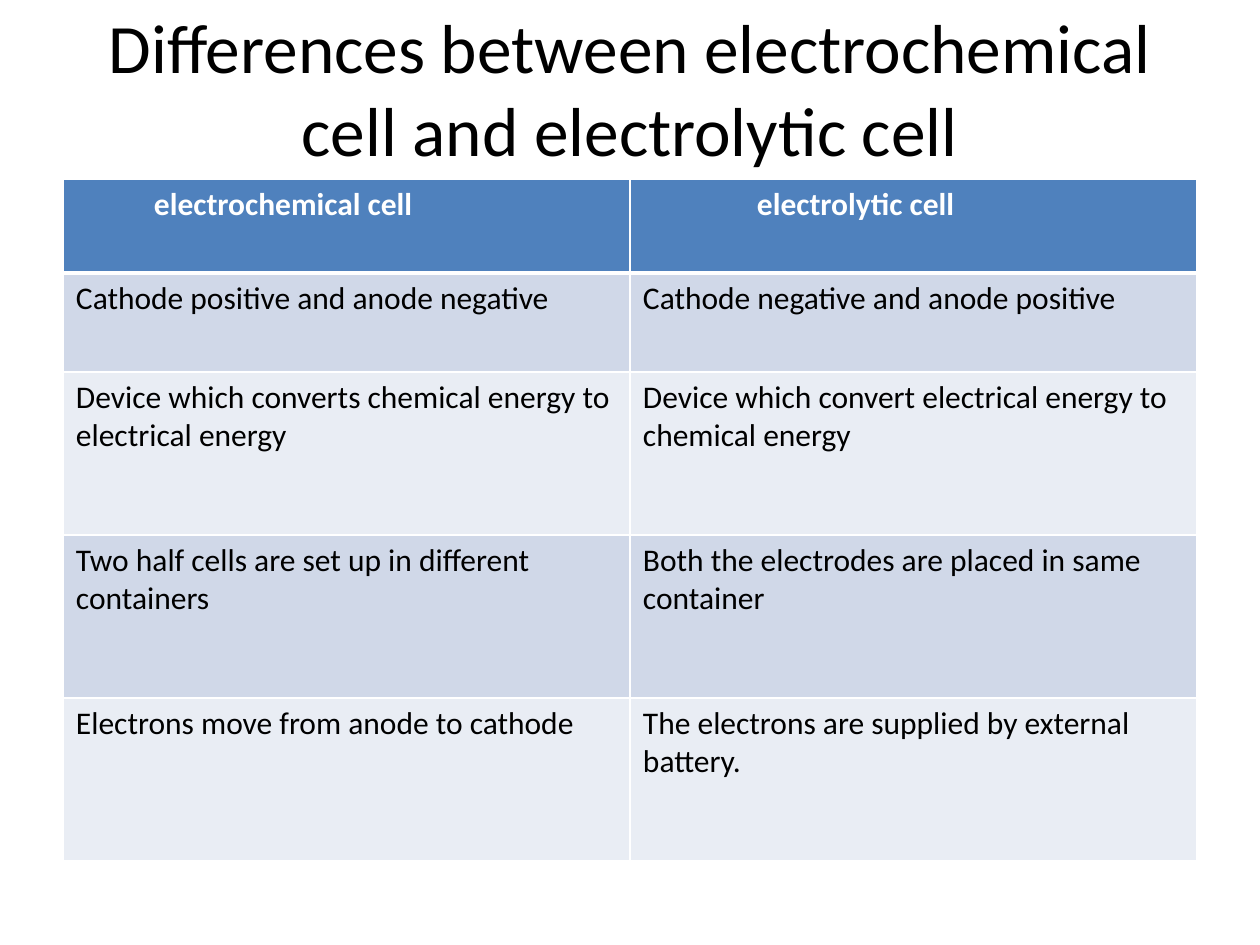
from dataclasses import dataclass

from lxml.etree import SubElement
from pptx import Presentation
from pptx.dml.color import RGBColor
from pptx.enum.text import MSO_AUTO_SIZE as AutoSize
from pptx.enum.text import MSO_VERTICAL_ANCHOR as Anchor
from pptx.enum.text import PP_PARAGRAPH_ALIGNMENT as Align
from pptx.oxml.ns import qn
from pptx.util import Pt

PX_PER_INCH = 126
FONT = "Calibri"
COLORS = {
    "text": "000000",
    "header": "4F81BD",
    "header_text": "FFFFFF",
    "band_dark": "D0D8E8",
    "band_light": "E9EDF4",
    "border": "FFFFFF",
}
CELL_MARGIN = 13
COLUMN_WIDTH = 567
HEADER_INDENTS = (78, 114)


@dataclass
class Row:
    height: int
    texts: tuple[str, str]


ROWS = [
    Row(94, ("electrochemical cell", "electrolytic cell")),
    Row(99, ("Cathode positive and anode negative",
             "Cathode negative and anode positive")),
    Row(163, ("Device which converts chemical energy to electrical energy",
              "Device which convert electrical energy to chemical energy")),
    Row(163, ("Two half cells are set up in different containers",
              "Both the electrodes are placed in same container")),
    Row(163, ("Electrons move from anode to cathode",
              "The electrons are supplied by external battery.")),
]


def px(length: int) -> int:
    return round(length * 914400 / PX_PER_INCH)


def write_text(frame, text: str, *, size: float, color: str = "text",
               bold: bool = False, align=Align.LEFT) -> None:
    paragraph = frame.paragraphs[0]
    paragraph.alignment = align
    run = paragraph.add_run()
    run.text = text
    run.font.name = FONT
    run.font.size = Pt(size)
    run.font.bold = bold
    run.font.color.rgb = RGBColor.from_string(COLORS[color])


def set_borders(cell, bottom: int = 1, top: int = 1) -> None:
    """Add the four cell borders, with widths in points."""
    properties = cell._tc.get_or_add_tcPr()
    widths = {"a:lnL": 1, "a:lnR": 1, "a:lnT": top, "a:lnB": bottom}
    for tag, width in widths.items():
        line = SubElement(properties, qn(tag), w=str(Pt(width)))
        fill = SubElement(line, qn("a:solidFill"))
        SubElement(fill, qn("a:srgbClr"), val=COLORS["border"])


def fill_cell(cell, text: str, row: int, column: int) -> None:
    is_header = row == 0
    # Borders come before the fill in the cell properties
    set_borders(cell, bottom=3 if is_header else 1, top=3 if row == 1 else 1)
    band = "header" if is_header else ("band_light", "band_dark")[row % 2]
    cell.fill.solid()
    cell.fill.fore_color.rgb = RGBColor.from_string(COLORS[band])
    indent = HEADER_INDENTS[column] if is_header else 0
    cell.margin_left = px(CELL_MARGIN + indent)
    write_text(cell.text_frame, text, size=18, bold=is_header,
               color="header_text" if is_header else "text")


def add_title(slide, text: str) -> None:
    title = slide.shapes.title
    title.left, title.top, title.width, title.height = map(
        px, (63, 38, 1134, 98))
    frame = title.text_frame
    frame.word_wrap = True
    frame.auto_size = AutoSize.NONE
    frame.vertical_anchor = Anchor.MIDDLE
    write_text(frame, text, size=39.6, align=Align.CENTER)


def add_comparison(slide, rows: list[Row]) -> None:
    columns = len(rows[0].texts)
    table = slide.shapes.add_table(
        len(rows), columns, px(63), px(179), px(columns * COLUMN_WIDTH),
        px(sum(row.height for row in rows))).table
    for column in table.columns:
        column.width = px(COLUMN_WIDTH)
    for row_index, row in enumerate(rows):
        table.rows[row_index].height = px(row.height)
        for column_index, text in enumerate(row.texts):
            fill_cell(table.cell(row_index, column_index), text,
                      row_index, column_index)


def main() -> None:
    presentation = Presentation()
    presentation.slide_width, presentation.slide_height = px(1260), px(945)
    # Title-only layout
    slide = presentation.slides.add_slide(presentation.slide_layouts[5])
    add_title(slide, "Differences between electrochemical cell "
                     "and electrolytic cell")
    add_comparison(slide, ROWS)
    presentation.save("out.pptx")


if __name__ == "__main__":
    main()
